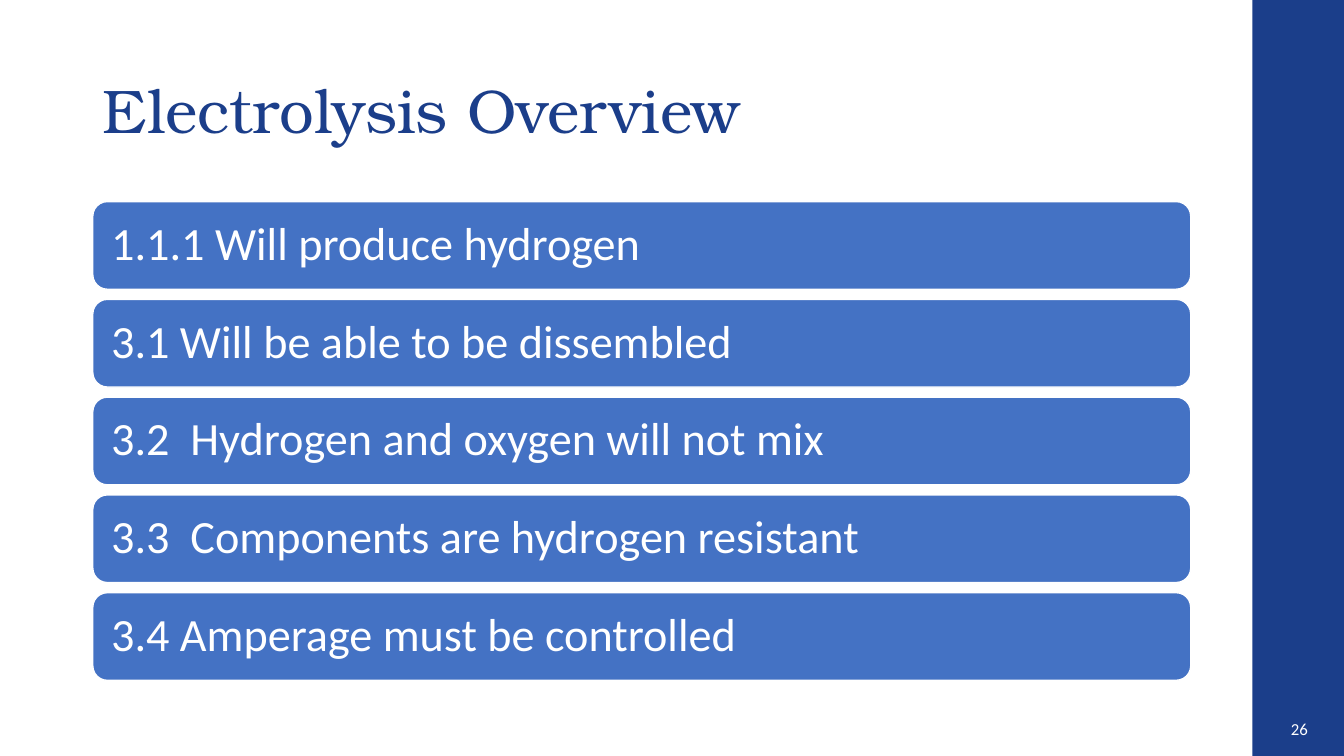
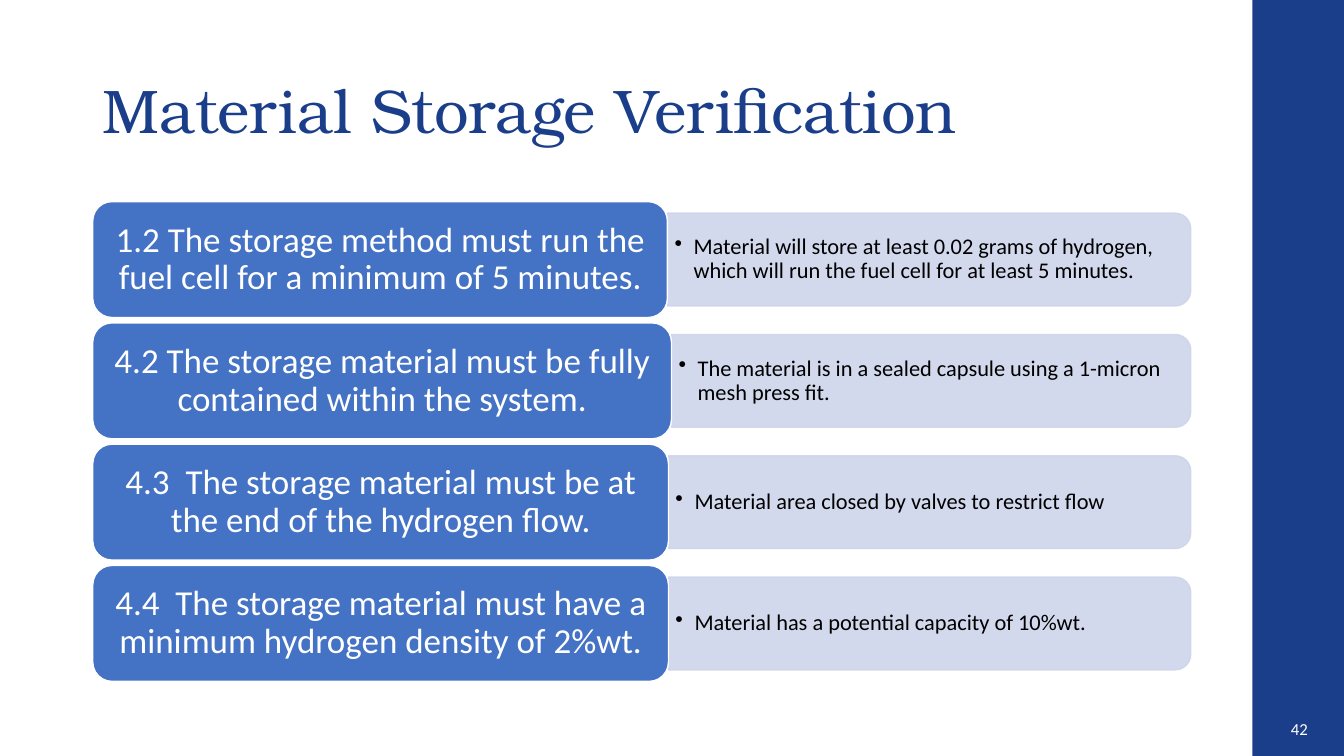
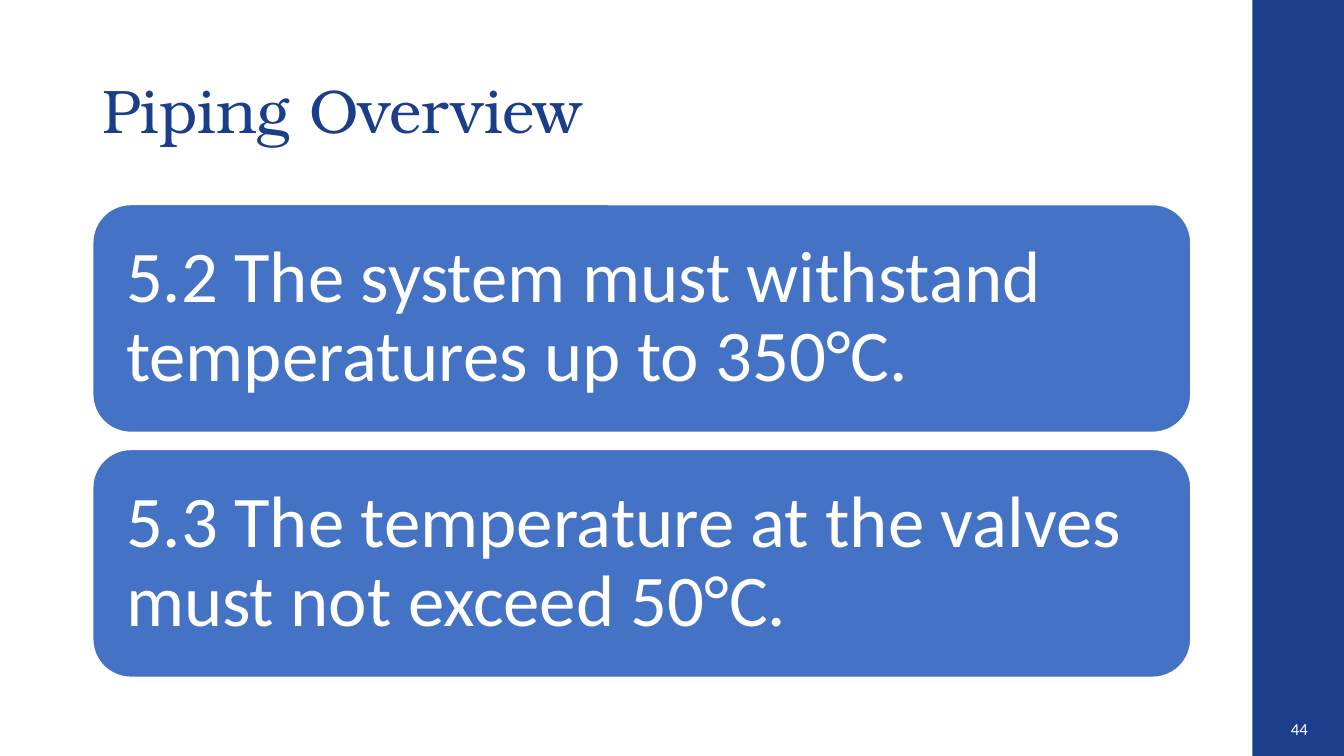
from lxml.etree import SubElement
from pptx import Presentation
from pptx.dml.color import RGBColor
from pptx.enum.shapes import MSO_SHAPE as Shape
from pptx.enum.text import MSO_ANCHOR as Anchor, PP_ALIGN as Align
from pptx.oxml.ns import qn
from pptx.util import Inches, Pt

NAVY = RGBColor(0x1B, 0x3E, 0x8A)
BLUE = RGBColor(0x44, 0x72, 0xC4)
PALE = RGBColor(0xCF, 0xD5, 0xEA)
WHITE = RGBColor(0xFF, 0xFF, 0xFF)
BLACK = RGBColor(0x00, 0x00, 0x00)

TITLE_FONT = "TeX Gyre Bonum"
BODY_FONT = "Calibri"

SLIDE_WIDTH, SLIDE_HEIGHT = 13.33, 7.5
BAND_LEFT = 12.42
LEFT, RIGHT = 0.92, 11.81
PANEL_HEIGHT = 0.92
PANEL_TEXT_INSET = 0.05
BULLET_INDENT = 0.19

ELECTROLYSIS = [
    "1.1.1 Will produce hydrogen",
    "3.1 Will be able to be dissembled",
    "3.2  Hydrogen and oxygen will not mix",
    "3.3  Components are hydrogen resistant",
    "3.4 Amperage must be controlled",
]

# Requirement, width of its box, verification
STORAGE = [
    ("1.2 The storage method must run the fuel cell for a minimum of 5 minutes.", 5.7,
     "Material will store at least 0.02 grams of hydrogen, "
     "which will run the fuel cell for at least 5 minutes."),
    ("4.2 The storage material must be fully contained within the system.", 5.74,
     "The material is in a sealed capsule using a 1-micron mesh press fit."),
    ("4.3  The storage material must be at the end of the hydrogen flow.", 5.71,
     "Material area closed by valves to restrict flow"),
    ("4.4  The storage material must have a minimum hydrogen density of 2%wt.", 5.71,
     "Material has a potential capacity of 10%wt."),
]

PIPING = [
    "5.2 The system must withstand temperatures up to 350°C.",
    "5.3 The temperature at the valves must not exceed 50°C.",
]


def row_tops(top, bottom, height, count):
    """Tops of equally spaced rows that fill the span from top to bottom."""
    pitch = (bottom - top - height) / (count - 1)
    return [top + row * pitch for row in range(count)]


def set_opacity(properties, percent):
    """Apply the opacity to every colour in the shape properties."""
    for color in properties.iter(qn("a:srgbClr")):
        SubElement(color, qn("a:alpha"), val=str(percent * 1000))


class Deck:
    def __init__(self):
        self.presentation = Presentation()
        self.presentation.slide_width = Inches(SLIDE_WIDTH)
        self.presentation.slide_height = Inches(SLIDE_HEIGHT)
        self.slide = None

    def new_slide(self, title, number):
        """Start a slide with the side band, its number and the title."""
        blank = self.presentation.slide_layouts[6]
        self.slide = self.presentation.slides.add_slide(blank)
        self.shape(Shape.RECTANGLE, BAND_LEFT, 0, SLIDE_WIDTH - BAND_LEFT, SLIDE_HEIGHT, NAVY)
        self.text_box(str(number), 12.66, 7.03, 0.41, 0.4, size=12, align=Align.RIGHT)
        self.text_box(title, LEFT, 0.4, 11.5, 1.45, size=44, color=NAVY,
                      font=TITLE_FONT, spacing=0.9)

    def shape(self, preset, left, top, width, height, fill, line=None):
        shape = self.slide.shapes.add_shape(
            preset, Inches(left), Inches(top), Inches(width), Inches(height))
        shape.shadow.inherit = False
        shape.fill.solid()
        shape.fill.fore_color.rgb = fill
        if line is None:
            shape.line.fill.background()
        else:
            shape.line.color.rgb = line
            shape.line.width = Pt(1)
        return shape

    def text_box(self, text, left, top, width, height, margins=(0.1, 0.05), **style):
        box = self.slide.shapes.add_textbox(
            Inches(left), Inches(top), Inches(width), Inches(height))
        self.set_text(box.text_frame, text, margins, **style)

    def set_text(self, frame, text, margins, size, color=WHITE, font=BODY_FONT,
                 align=Align.LEFT, spacing=1.0, bullet=False):
        """Fill a text frame; margins are (horizontal, vertical)."""
        frame.word_wrap = True
        frame.vertical_anchor = Anchor.MIDDLE
        frame.margin_left = frame.margin_right = Inches(margins[0])
        frame.margin_top = frame.margin_bottom = Inches(margins[1])
        paragraph = frame.paragraphs[0]
        paragraph.alignment = align
        paragraph.line_spacing = spacing
        if bullet:
            properties = paragraph._p.get_or_add_pPr()
            properties.set("marL", str(Inches(BULLET_INDENT)))
            properties.set("indent", str(-Inches(BULLET_INDENT)))
            SubElement(properties, qn("a:buChar"), char="•")
        run = paragraph.add_run()
        run.text = text
        run.font.size = Pt(size)
        run.font.name = font
        run.font.color.rgb = color

    def requirement(self, text, top, width, height, size, margins, align=Align.LEFT):
        card = self.shape(Shape.ROUNDED_RECTANGLE, LEFT, top, width, height, BLUE, WHITE)
        self.set_text(card.text_frame, text, margins, size, align=align, spacing=0.9)

    def requirement_list(self, texts, top, bottom, height, size, margin):
        for text, row_top in zip(texts, row_tops(top, bottom, height, len(texts))):
            self.requirement(text, row_top, RIGHT - LEFT, height, size, (margin, margin))

    def verification(self, text, left, middle):
        """Panel rounded on its right side, reaching from left to the content edge."""
        length = RIGHT - left
        panel = self.shape(Shape.ROUND_2_SAME_RECTANGLE,
                           left + (length - PANEL_HEIGHT) / 2, middle - length / 2,
                           PANEL_HEIGHT, length, PALE, PALE)
        panel.rotation = 90
        set_opacity(panel._element.spPr, 90)
        text_height = PANEL_HEIGHT - 2 * PANEL_TEXT_INSET
        self.text_box(text, left, middle - text_height / 2, length - PANEL_TEXT_INSET,
                      text_height, margins=(0.07, 0.03), size=16, color=BLACK,
                      spacing=0.9, bullet=True)

    def verification_list(self, rows, top, bottom, height):
        tops = row_tops(top, bottom, height, len(rows))
        for (requirement, width, verification), row_top in zip(rows, tops):
            self.verification(verification, LEFT + width, row_top + height / 2)
            self.requirement(requirement, row_top, width, height, 25, (0.1, 0.05), Align.CENTER)


def main():
    deck = Deck()

    deck.new_slide("Electrolysis Overview", 26)
    deck.requirement_list(ELECTROLYSIS, top=2, bottom=6.75, height=0.87, size=33, margin=0.14)

    deck.new_slide("Material Storage Verification", 42)
    deck.verification_list(STORAGE, top=2, bottom=6.76, height=1.15)

    deck.new_slide("Piping Overview", 44)
    deck.requirement_list(PIPING, top=2.03, bottom=6.72, height=2.26, size=52, margin=0.22)

    deck.presentation.save("out.pptx")


if __name__ == "__main__":
    main()
